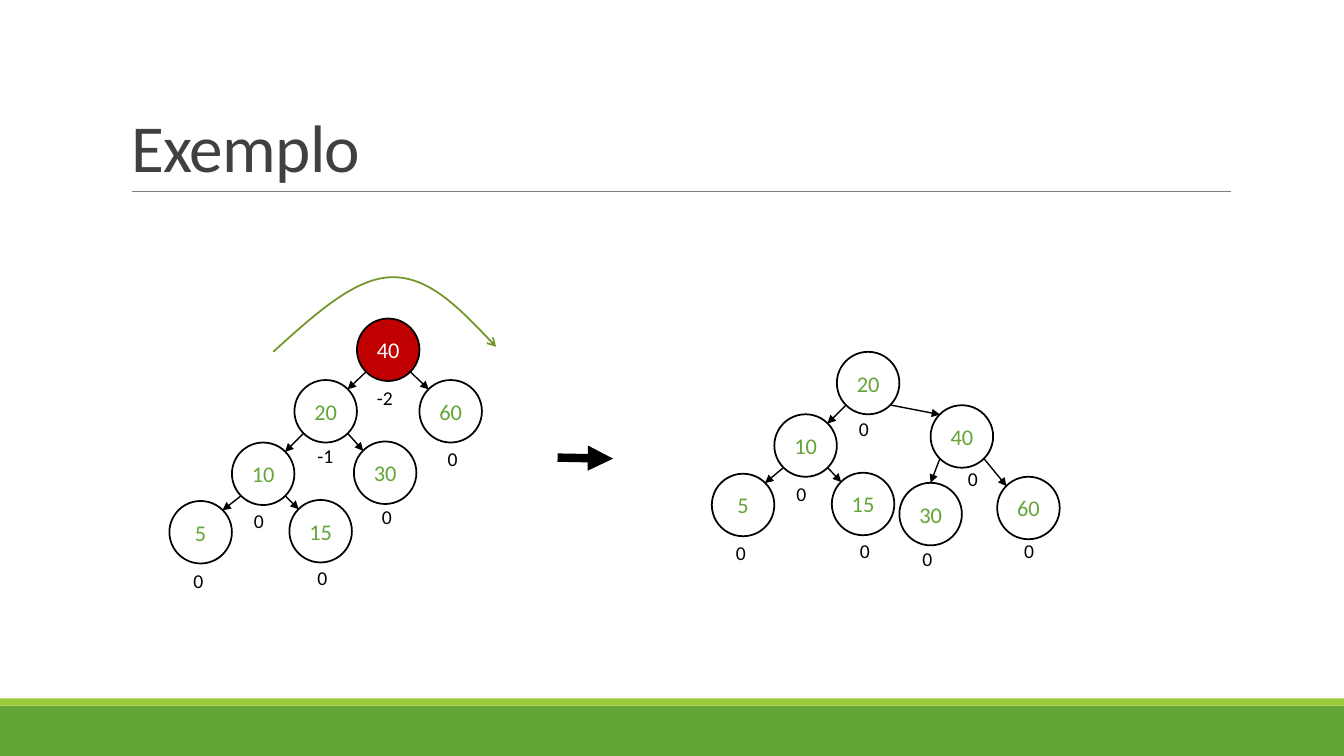
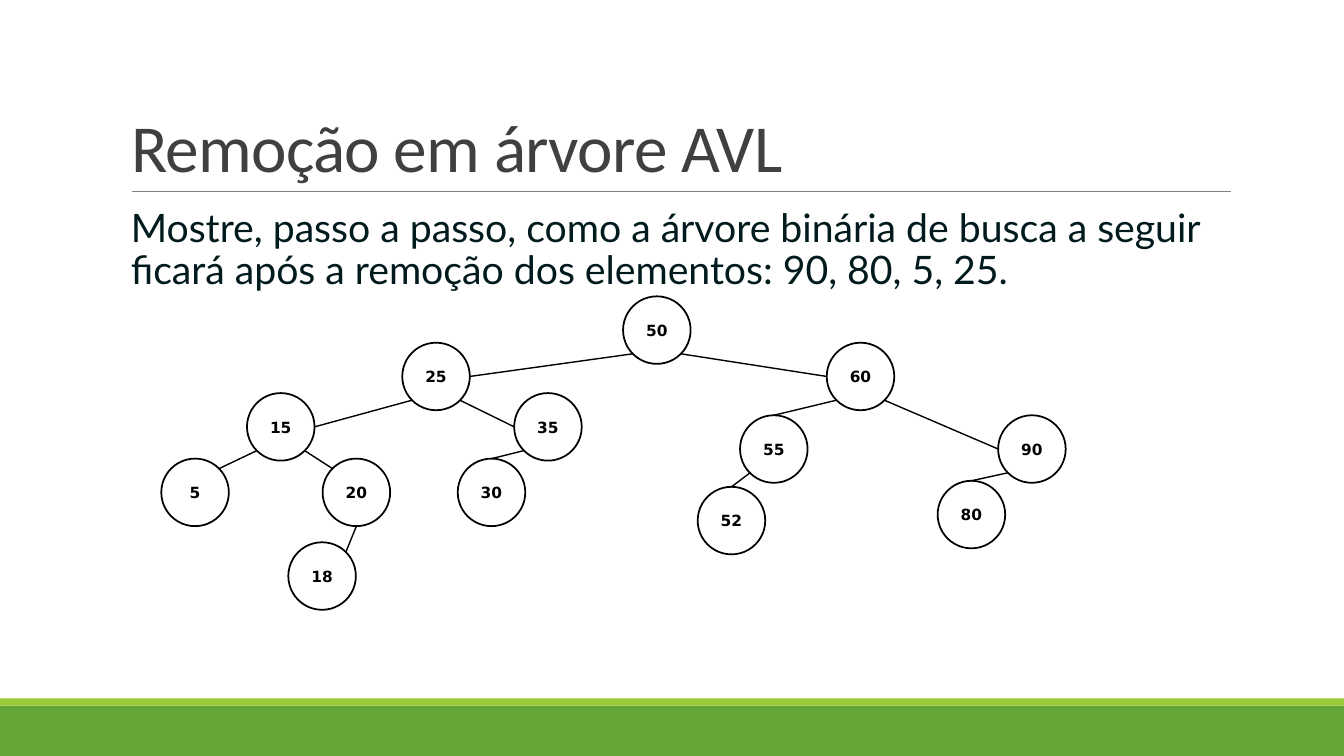
from lxml import etree
from pptx import Presentation
from pptx.dml.color import RGBColor
from pptx.enum.shapes import MSO_CONNECTOR, MSO_SHAPE
from pptx.enum.text import MSO_ANCHOR, MSO_AUTO_SIZE, PP_ALIGN
from pptx.oxml.ns import qn
from pptx.util import Inches, Pt

BLACK = RGBColor(0x00, 0x00, 0x00)
WHITE = RGBColor(0xFF, 0xFF, 0xFF)
GREEN = RGBColor(0x63, 0xA5, 0x37)
LIME = RGBColor(0x99, 0xCB, 0x38)
OLIVE = RGBColor(0x71, 0x96, 0x29)
GRAY = RGBColor(0x80, 0x80, 0x80)
TITLE_COLOR = RGBColor(0x40, 0x40, 0x40)
BODY_COLOR = RGBColor(0x00, 0x1A, 0x1E)
RED = RGBColor(0xC0, 0x00, 0x00)

TITLE_FONT = {"name": "Calibri", "size": Pt(48)}
BODY_FONT = {"name": "Lato", "size": Pt(28)}
KEY_FONT = {"name": "Calibri", "size": Pt(16)}
BALANCE_FONT = {"name": "Calibri", "size": Pt(14)}
EXERCISE_FONT = {"name": "DejaVu Sans", "size": Pt(11), "bold": True}
NO_INSETS = dict.fromkeys(
    ("margin_left", "margin_top", "margin_right", "margin_bottom"), 0)

# Edge ends as fractions of a circle's box
SITES = {"top": (0.5, 0), "left": (0, 0.5), "right": (1, 0.5), "bottom": (0.5, 1),
         "tl": (0.15, 0.15), "tr": (0.85, 0.15), "bl": (0.15, 0.85), "br": (0.85, 0.85)}

# Trees: key -> (left, top); edges: parent, its site, child, its site
BEFORE_NODES = {40: (3.54, 3.16), 20: (2.92, 3.77), 60: (4.16, 3.77), 10: (2.3, 4.39),
                30: (3.51, 4.38), 5: (1.68, 4.97), 15: (2.87, 4.96)}
BEFORE_EDGES = [(40, "bl", 20, "tr"), (40, "br", 60, "tl"), (20, "bl", 10, "tr"),
                (20, "br", 30, "tl"), (10, "bl", 5, "tr"), (10, "br", 15, "tl")]
BEFORE_BALANCES = [("-2", 3.64, 3.78), ("-1", 3.05, 4.36), ("0", 4.34, 4.38),
                   ("0", 2.42, 5), ("0", 3.69, 4.96), ("0", 1.82, 5.59), ("0", 3.05, 5.57)]

AFTER_NODES = {20: (8.3, 3.49), 10: (7.68, 4.11), 40: (9.23, 4.02), 5: (7.06, 4.7),
               15: (8.25, 4.69), 30: (8.92, 4.79), 60: (9.89, 4.73)}
AFTER_EDGES = [(20, "bl", 10, "tr"), (20, "br", 40, "tl"), (10, "bl", 5, "tr"),
               (10, "br", 15, "tl"), (40, "bl", 30, "top"), (40, "br", 60, "tl")]
AFTER_BALANCES = [("0", 8.42, 4.09), ("0", 7.8, 4.73), ("0", 9.5, 4.58), ("0", 7.2, 5.32),
                  ("0", 8.43, 5.3), ("0", 9.05, 5.38), ("0", 10.06, 5.3)]

EXERCISE_NODES = {50: (6.18, 2.94), 25: (3.99, 3.4), 60: (8.2, 3.4), 15: (2.45, 3.9),
                  35: (5.1, 3.9), 55: (7.34, 4.12), 90: (9.9, 4.12), 5: (1.6, 4.55),
                  20: (3.2, 4.55), 30: (4.54, 4.55), 52: (6.92, 4.83), 80: (9.3, 4.77),
                  18: (2.86, 5.38)}
EXERCISE_EDGES = [(50, "bl", 25, "right"), (50, "br", 60, "left"), (25, "bl", 15, "right"),
                  (25, "br", 35, "left"), (60, "bl", 55, "top"), (60, "br", 90, "left"),
                  (15, "bl", 5, "tr"), (15, "br", 20, "tl"), (35, "bl", 30, "top"),
                  (55, "bl", 52, "top"), (90, "bl", 80, "top"), (20, "bottom", 18, "tr")]


def set_all(obj, values):
    for name, value in values.items():
        setattr(obj, name, value)


def write(tf, text, font, color):
    p = tf.paragraphs[0]
    r = p.add_run()
    r.text = text
    set_all(r.font, font)
    r.font.color.rgb = color
    return p, r


def set_arrowhead(shape, kind):
    ln = shape.line._get_or_add_ln()
    etree.SubElement(ln, qn("a:tailEnd"), type=kind)


def add_line(shapes, start, end, color, width, arrow=False):
    line = shapes.add_connector(MSO_CONNECTOR.STRAIGHT, *map(Inches, start + end))
    set_all(line.line, {"width": Pt(width)})
    line.line.color.rgb = color
    if arrow:
        set_arrowhead(line, "triangle")
    etree.SubElement(line.element.spPr, qn("a:effectLst"))
    return line


def add_band(shapes, top, height, color):
    band = shapes.add_shape(MSO_SHAPE.RECTANGLE, 0, Inches(top), Inches(13.33), Inches(height))
    band.shadow.inherit = False
    band.fill.solid()
    band.fill.fore_color.rgb = color
    band.line.fill.background()
    return band


def decorate_layout(layout, s):
    """Draw the shared bands and title rule on s, then move them to its layout."""
    for shape in (add_band(s.shapes, 7, 0.5, GREEN),
                  add_band(s.shapes, 6.93, 0.07, LIME),
                  add_line(s.shapes, (1.31, 1.9), (12.21, 1.9), GRAY, 0.5)):
        layout.shapes.element.append(shape.element)


def add_title(s, text):
    title = s.shapes.title
    set_all(title, {"left": Inches(1.2), "top": Inches(0.31),
                    "width": Inches(11), "height": Inches(1.59)})
    tf = title.text_frame
    set_all(tf, {"vertical_anchor": MSO_ANCHOR.BOTTOM, "auto_size": MSO_AUTO_SIZE.NONE})
    p, r = write(tf, text, TITLE_FONT, TITLE_COLOR)
    set_all(p, {"alignment": PP_ALIGN.LEFT, "line_spacing": 0.85})
    r.font._element.set("spc", "-50")


def add_body(s, text):
    box = s.shapes.add_textbox(Inches(1.2), Inches(2.02), Inches(11), Inches(4.4))
    tf = box.text_frame
    set_all(tf, {"word_wrap": True, "margin_left": Inches(0.1), "margin_right": 0})
    p, _ = write(tf, text, BODY_FONT, BODY_COLOR)
    set_all(p, {"line_spacing": 0.9, "space_before": Pt(12), "space_after": Pt(2)})


def add_node(shapes, key, position, size, font, color, fill):
    node = shapes.add_shape(MSO_SHAPE.OVAL, *map(Inches, (*position, size, size)))
    node.shadow.inherit = False
    if fill is None:
        node.fill.background()
    else:
        node.fill.solid()
        node.fill.fore_color.rgb = fill
    node.line.color.rgb = BLACK
    node.line.width = Pt(1.25)
    tf = node.text_frame
    set_all(tf, {**NO_INSETS, "vertical_anchor": MSO_ANCHOR.MIDDLE, "word_wrap": False})
    p, _ = write(tf, str(key), font, color)
    p.alignment = PP_ALIGN.CENTER


def site_point(position, size, site):
    return tuple(start + size * part for start, part in zip(position, SITES[site]))


def add_tree(shapes, nodes, edges, size, font, color, fill=None, arrow=False, critical=None):
    """Draw the nodes and edges; the critical node is red."""
    for key, position in nodes.items():
        colors = (WHITE, RED) if key == critical else (color, fill)
        add_node(shapes, key, position, size, font, *colors)
    for parent, start, child, end in edges:
        add_line(shapes, site_point(nodes[parent], size, start),
                 site_point(nodes[child], size, end), BLACK, 1, arrow)


def add_balances(shapes, balances):
    for text, left, top in balances:
        width = 0.31 if len(text) == 1 else 0.36
        box = shapes.add_textbox(*map(Inches, (left, top, width, 0.34)))
        tf = box.text_frame
        set_all(tf, {"word_wrap": False, "auto_size": MSO_AUTO_SIZE.SHAPE_TO_FIT_TEXT})
        write(tf, text, BALANCE_FONT, BLACK)


def add_rotation_arrow(shapes):
    """Draw an arc of two Bezier curves, three points each after the start."""
    points = [(2.71, 3.49), (3.11, 3.13), (3.51, 2.76), (3.88, 2.75),
              (4.25, 2.74), (4.59, 3.09), (4.92, 3.44)]
    start, *rest = [tuple(map(Inches, point)) for point in points]
    builder = shapes.build_freeform(*start)
    builder.add_line_segments(rest, close=False)
    arc = builder.convert_to_shape()
    outline = arc.element.find(".//" + qn("a:path"))
    segments = outline.findall(qn("a:lnTo"))
    for first in range(0, len(segments), 3):
        curve = etree.SubElement(outline, qn("a:cubicBezTo"))
        for segment in segments[first:first + 3]:
            curve.append(segment[0])
            outline.remove(segment)
    arc.shadow.inherit = False
    arc.fill.background()
    arc.line.color.rgb = OLIVE
    arc.line.width = Pt(1.25)
    set_arrowhead(arc, "arrow")


def fill_example(s):
    add_title(s, "Exemplo")
    look = {"size": 0.62, "font": KEY_FONT, "color": GREEN, "arrow": True}
    add_tree(s.shapes, BEFORE_NODES, BEFORE_EDGES, critical=40, **look)
    add_balances(s.shapes, BEFORE_BALANCES)
    add_rotation_arrow(s.shapes)
    add_line(s.shapes, (5.53, 4.54), (6.08, 4.55), BLACK, 6, arrow=True)
    group = s.shapes.add_group_shape()
    add_tree(group.shapes, AFTER_NODES, AFTER_EDGES, **look)
    add_balances(group.shapes, AFTER_BALANCES)


def fill_exercise(s):
    add_title(s, "Remoção em árvore AVL")
    add_body(s, "Mostre, passo a passo, como a árvore binária de busca a seguir "
                "ficará após a remoção dos elementos: 90, 80, 5, 25.")
    add_tree(s.shapes, EXERCISE_NODES, EXERCISE_EDGES, 0.67, EXERCISE_FONT, BLACK, WHITE)


def main():
    prs = Presentation()
    set_all(prs, {"slide_width": Inches(13.33), "slide_height": Inches(7.5)})
    layout = prs.slide_layouts[5]
    example, exercise = (prs.slides.add_slide(layout) for _ in range(2))
    decorate_layout(layout, example)
    fill_example(example)
    fill_exercise(exercise)
    prs.save("out.pptx")


if __name__ == "__main__":
    main()
